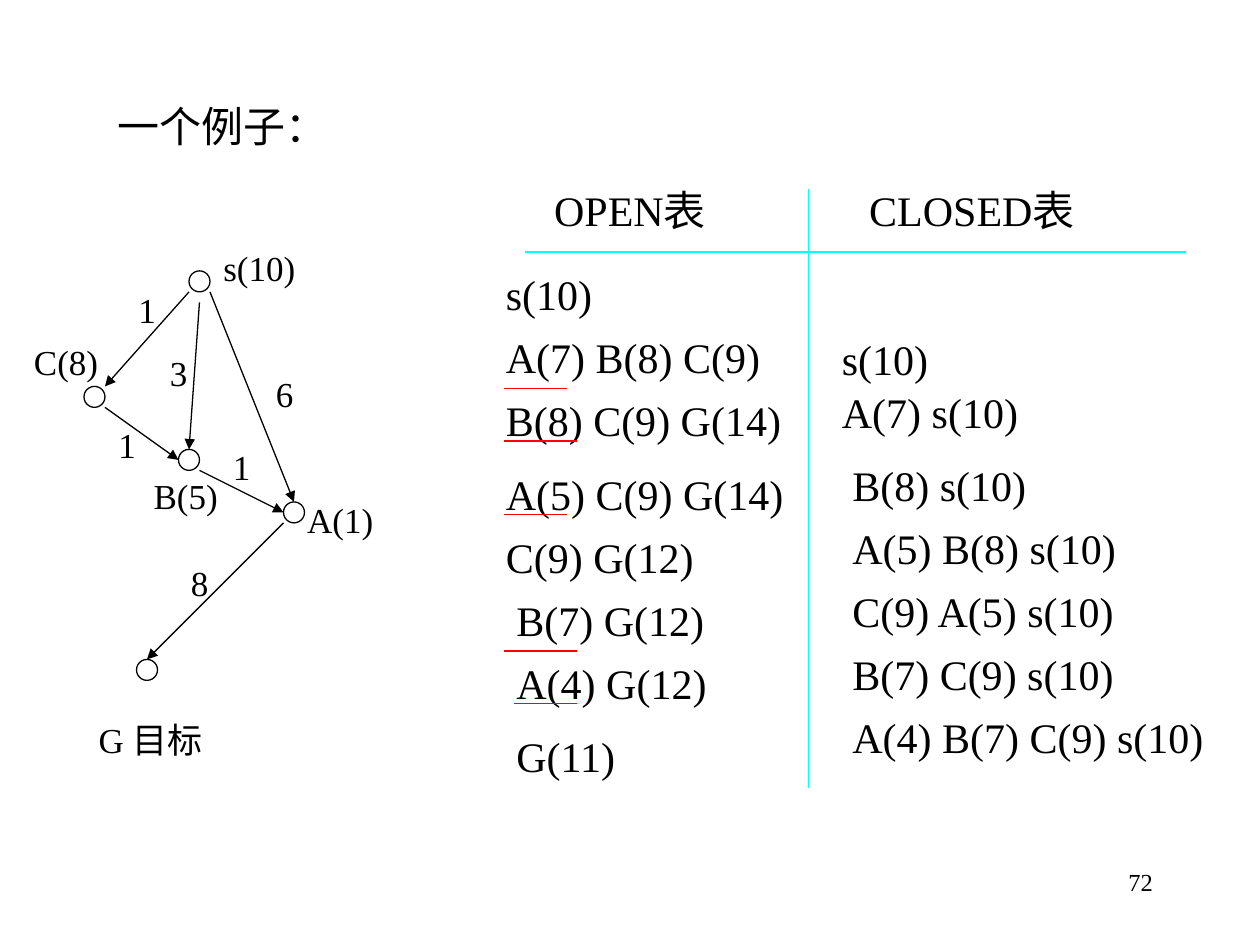
from pptx import Presentation
from pptx.dml.color import RGBColor
from pptx.enum.shapes import MSO_CONNECTOR as Connector, MSO_SHAPE as Shape
from pptx.enum.text import MSO_ANCHOR as Anchor, MSO_AUTO_SIZE as AutoSize, PP_ALIGN as Align
from pptx.oxml.ns import qn
from pptx.util import Pt
from lxml.etree import SubElement

EMU_PER_PX = 7620  # 120 px to the inch


def px(length):
    return length * EMU_PER_PX


def color(hex_code):
    return RGBColor.from_string(hex_code)


def write(box, text, size=24, align=Align.LEFT, anchor=Anchor.MIDDLE,
          wrap=False, font="Times New Roman", ink="000000"):
    frame = box.text_frame
    frame.word_wrap = wrap
    frame.auto_size = AutoSize.NONE if wrap else AutoSize.SHAPE_TO_FIT_TEXT
    frame.vertical_anchor = anchor
    para = frame.paragraphs[0]
    para.alignment = align
    span = para.add_run()
    span.text = text
    span.font.name = font
    span.font.size = Pt(size)
    span.font.color.rgb = color(ink)


class Sketch:
    ink = "000000"
    paper = "FFFFFF"
    rule = "00FFFF"
    mark = "FF0000"
    stroke = Pt(0.75)
    node_size = 20

    def __init__(self, page):
        self.page = page

    def text(self, x, y, width, text, height=60, **style):
        box = self.page.shapes.add_textbox(px(x), px(y), px(width), px(height))
        write(box, text, **style)

    def node(self, x, y):
        circle = self.page.shapes.add_shape(
            Shape.OVAL, px(x), px(y), px(self.node_size), px(self.node_size))
        circle.shadow.inherit = False
        circle.fill.solid()
        circle.fill.fore_color.rgb = color(self.paper)
        circle.line.color.rgb = color(self.ink)
        circle.line.width = self.stroke

    def line(self, x1, y1, x2, y2, ink, arrow=False):
        line = self.page.shapes.add_connector(
            Connector.STRAIGHT, px(x1), px(y1), px(x2), px(y2))
        line.line.color.rgb = color(ink)
        line.line.width = self.stroke
        properties = line._element.spPr
        if arrow:
            SubElement(properties.find(qn("a:ln")), qn("a:tailEnd"), type="triangle")
        SubElement(properties, qn("a:effectLst"))


# Graph: each node's corner, then label text and label box
NODES = {
    "s": (180, 258, "s(10)", 200, 228, 94),
    "C": (80, 368, "C(8)", 20, 318, 86),
    "B": (170, 428, "B(5)", 134, 445, 86),
    "A": (270, 478, "A(1)", 280, 468, 88),
    "G": (130, 628, "G 目标", 78, 678, 131),
}
# Start node and port, end node and port, cost and its place
EDGES = [
    ("s", (0, 20), "C", (20, 0), "1", 120, 268),
    ("s", (10, 30), "B", (10, 0), "3", 150, 348 - 20),
    ("s", (20, 20), "A", (10, 0), "6", 251, 348),
    ("A", (0, 20), "G", (10, 0), "8", 170, 528),
    ("C", (20, 20), "B", (0, 10), "1", 101, 397),
    ("B", (20, 20), "A", (0, 10), "1", 210, 418),
]
# Table entries: x, y, width, text
OPEN_ROWS = [
    (470, 250, 108, "s(10)"),
    (470, 310, 268, "A(7) B(8) C(9)"),
    (470, 370, 288, "B(8) C(9) G(14)"),
    (470, 440, 290, "A(5) C(9) G(14)"),
    (470, 500, 205, "C(9) G(12)"),
    (480, 560, 205, "B(7) G(12)"),
    (480, 620, 207, "A(4) G(12)"),
    (480, 690, 121, "G(11)"),
]
CLOSED_ROWS = [
    (790, 312, 108, "s(10)"),
    (790, 362, 194, "A(7) s(10)"),
    (800, 432, 192, "B(8) s(10)"),
    (800, 492, 277, "A(5) B(8) s(10)"),
    (800, 552, 277, "C(9) A(5) s(10)"),
    (800, 612, 276, "B(7) C(9) s(10)"),
    (800, 672, 360, "A(4) B(7) C(9) s(10)"),
]
# Underlines of changed entries: left, right, y
UNDERLINES = [(480, 540, 370), (480, 550, 420), (480, 540, 490),
              (480, 550, 620), (490, 550, 670)]


def main():
    deck = Presentation()
    deck.slide_width, deck.slide_height = px(1200), px(900)
    sketch = Sketch(deck.slides.add_slide(deck.slide_layouts[6]))

    # Title and page number
    sketch.text(100, 90, 225, "一个例子：")
    sketch.text(860, 820, 250, "72", size=14, align=Align.RIGHT,
                anchor=Anchor.TOP, wrap=True)

    # Graph
    for x, y, *_ in NODES.values():
        sketch.node(x, y)
    for start, (dx1, dy1), end, (dx2, dy2), cost, x, y in EDGES:
        x1, y1 = NODES[start][:2]
        x2, y2 = NODES[end][:2]
        sketch.line(x1 + dx1, y1 + dy1, x2 + dx2, y2 + dy2, sketch.ink, arrow=True)
        sketch.text(x, y, 41, cost, height=53, size=20)
    for _, _, label, x, y, width in NODES.values():
        sketch.text(x, y, width, label, height=53, size=20, align=Align.CENTER)

    # Table rules and headings
    sketch.line(500, 240, 1130, 240, sketch.rule)
    sketch.line(770, 180, 770, 750, sketch.rule)
    sketch.text(516, 170, 178, "OPEN表")
    sketch.text(816, 170, 229, "CLOSED表")

    # Table entries and underlines
    for x, y, width, entry in OPEN_ROWS + CLOSED_ROWS:
        sketch.text(x, y, width, entry)
    for left, right, y in UNDERLINES:
        sketch.line(left, y, right, y, sketch.mark)

    deck.save("out.pptx")


if __name__ == "__main__":
    main()
